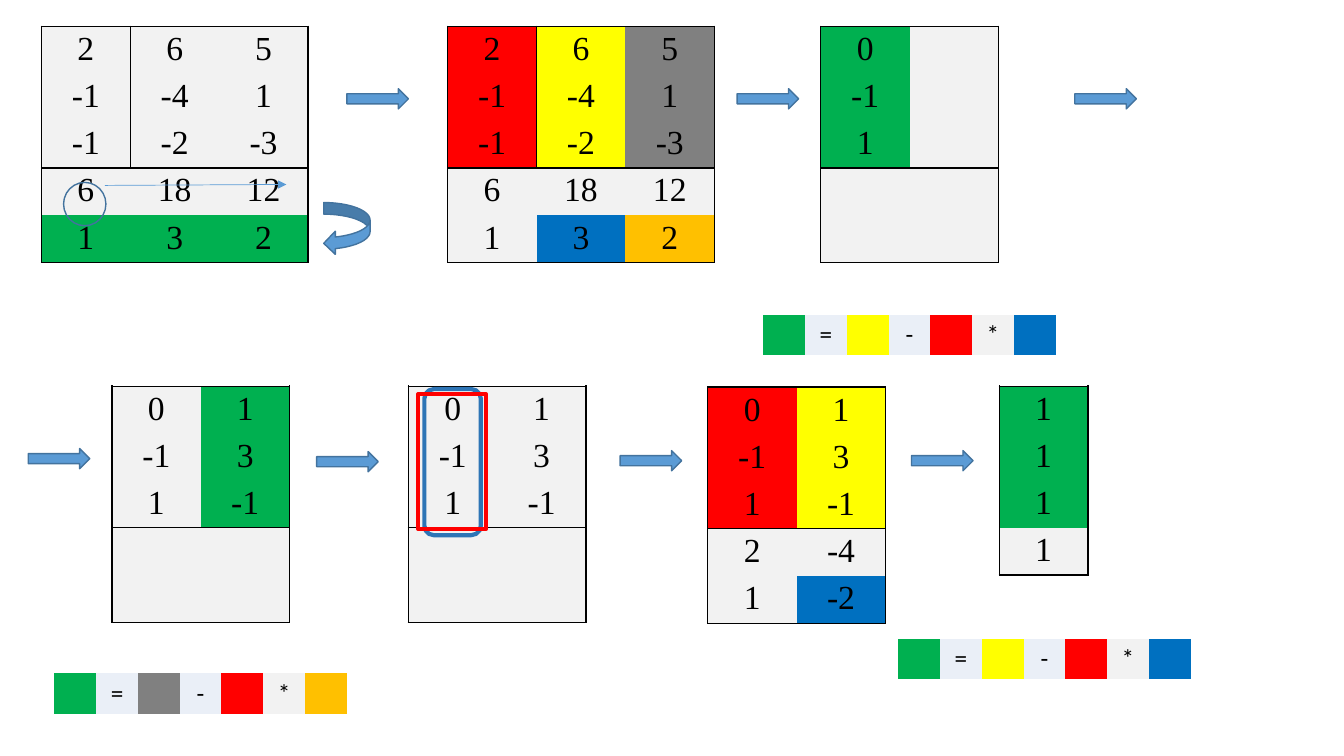
from lxml import etree
from pptx import Presentation
from pptx.dml.color import RGBColor
from pptx.enum.shapes import MSO_CONNECTOR, MSO_SHAPE
from pptx.enum.text import MSO_ANCHOR, PP_ALIGN
from pptx.oxml.ns import qn
from pptx.util import Inches, Pt

SLIDE_WIDTH, SLIDE_HEIGHT = Inches(13.33), Inches(7.5)
RIGHT_ARROW, CURVED_ARROW = MSO_SHAPE.RIGHT_ARROW, MSO_SHAPE.CURVED_DOWN_ARROW
OVAL, RECTANGLE = MSO_SHAPE.OVAL, MSO_SHAPE.RECTANGLE
ROUNDED_RECTANGLE = MSO_SHAPE.ROUNDED_RECTANGLE
STRAIGHT, CENTER, MIDDLE = MSO_CONNECTOR.STRAIGHT, PP_ALIGN.CENTER, MSO_ANCHOR.MIDDLE

BLACK = RGBColor(0x00, 0x00, 0x00)
RED = RGBColor(0xFF, 0x00, 0x00)
GREEN = RGBColor(0x00, 0xB0, 0x50)
YELLOW = RGBColor(0xFF, 0xFF, 0x00)
GRAY = RGBColor(0x80, 0x80, 0x80)
BLUE = RGBColor(0x00, 0x70, 0xC0)
ORANGE = RGBColor(0xFF, 0xC0, 0x00)
PALE = RGBColor(0xF2, 0xF2, 0xF2)
ICE = RGBColor(0xEA, 0xEF, 0xF7)
ARROW_FILL = RGBColor(0x5B, 0x9B, 0xD5)
ARROW_EDGE = RGBColor(0x43, 0x73, 0x9E)
FRAME_BLUE = RGBColor(0x2E, 0x75, 0xB6)

# Letters used in the colour patterns of the tables
PALETTE = {"R": RED, "G": GREEN, "Y": YELLOW, "A": GRAY, "B": BLUE,
           "O": ORANGE, ".": PALE, "i": ICE}
PLAIN_STYLE = "{2D5ABB26-0587-4C30-8999-92F81FD0307C}"

# Shares of the slide, in percent: (across, down)
MATRIX_CELL = (6.61, 6.25)
FORMULA_CELL = (3.11, 5.33)
ARROW_SIZE = (4.58, 2.67)
CONSTRAINT_ROWS = 3

TOP, BOTTOM = 3.47, 51.07
SOURCE_ROWS = ["2 6 5", "-1 -4 1", "-1 -2 -3", "6 18 12", "1 3 2"]
REDUCED_ROWS = ["0 1", "-1 3", "1 -1", "", ""]
# Left, top, rows of values, rows of colours
MATRICES = [
    (3.08, TOP, SOURCE_ROWS, ["...", "...", "...", "...", "GGG"]),
    (33.31, TOP, SOURCE_ROWS, ["RYA", "RYA", "RYA", "...", ".BO"]),
    (61.07, TOP, ["0", "-1", "1", "", ""], ["G.", "G.", "G.", "..", ".."]),
    (8.33, BOTTOM, REDUCED_ROWS, [".G", ".G", ".G", "..", ".."]),
    (30.38, BOTTOM, REDUCED_ROWS, [".."] * 5),
    (52.66, 51.2, REDUCED_ROWS[:3] + ["2 -4", "1 -2"],
     ["RY", "RY", "RY", "..", ".B"]),
    (74.34, BOTTOM, ["1"] * 4, ["G", "G", "G", "."]),
]
# Left, top, colours
FORMULAS = [(56.79, 41.6, "GiYiR.B"), (4.05, 89.07, "GiAiR.O"),
            (66.84, 84.53, "GiYiR.B")]
ARROWS = [(25.81, 11.73), (54.84, 11.73), (79.97, 11.73), (2.1, 59.33),
          (23.56, 59.73), (46.14, 59.6), (67.82, 59.6)]


def across(share):
    return round(SLIDE_WIDTH * share / 100)


def down(share):
    return round(SLIDE_HEIGHT * share / 100)


def add_plain_table(slide, left, top, colors, cell_size):
    rows, columns = len(colors), len(colors[0])
    frame = slide.shapes.add_table(
        rows, columns, across(left), down(top),
        across(cell_size[0] * columns), down(cell_size[1] * rows))
    table = frame.table
    table.first_row = table.horz_banding = False
    next(frame.element.iter(qn("a:tableStyleId"))).text = PLAIN_STYLE
    return table


def add_border(cell, sides):
    properties = cell._tc.get_or_add_tcPr()
    for side in sides:
        line = etree.SubElement(properties, qn("a:ln" + side), w=str(Pt(1)))
        fill = etree.SubElement(line, qn("a:solidFill"))
        etree.SubElement(fill, qn("a:srgbClr"), val=str(BLACK))


def fill_cell(cell, text, color, font_name, size):
    cell.fill.solid()
    cell.fill.fore_color.rgb = color
    cell.margin_top = cell.margin_bottom = Inches(0.04)
    if not text:
        return
    paragraph = cell.text_frame.paragraphs[0]
    paragraph.alignment = CENTER
    run = paragraph.add_run()
    run.text = text
    run.font.name, run.font.size = font_name, Pt(size)
    run.font.color.rgb = BLACK


def add_matrix(slide, left, top, values, colors):
    table = add_plain_table(slide, left, top, colors, MATRIX_CELL)
    last_row, last_column = len(colors) - 1, len(colors[0]) - 1
    has_totals = last_row > CONSTRAINT_ROWS
    for row, pattern in enumerate(colors):
        texts = values[row].split()
        for column, letter in enumerate(pattern):
            cell = table.cell(row, column)
            # Outer frame, line above the totals, line after the first column
            first_split = (last_column == 2 and column == 0
                           and row < CONSTRAINT_ROWS)
            totals_split = has_totals and row == CONSTRAINT_ROWS - 1
            edges = {"L": column == 0,
                     "R": column == last_column or first_split,
                     "T": row == 0,
                     "B": row == last_row or totals_split}
            add_border(cell, [side for side, drawn in edges.items() if drawn])
            text = texts[column] if column < len(texts) else ""
            fill_cell(cell, text, PALETTE[letter], "Times New Roman", 24)


def add_formula(slide, left, top, colors):
    table = add_plain_table(slide, left, top, [colors], FORMULA_CELL)
    operators = {1: "=", 3: "-", 5: "*"}
    for column, letter in enumerate(colors):
        cell = table.cell(0, column)
        cell.vertical_anchor = MIDDLE
        fill_cell(cell, operators.get(column), PALETTE[letter], "Calibri", 18)


def add_outline(slide, kind, position, size, line_color, weight=1, fill=None):
    shape = slide.shapes.add_shape(kind, across(position[0]), down(position[1]),
                                   across(size[0]), down(size[1]))
    shape.shadow.inherit = False
    if fill is None:
        shape.fill.background()
    else:
        shape.fill.solid()
        shape.fill.fore_color.rgb = fill
    shape.line.color.rgb = line_color
    shape.line.width = Pt(weight)
    return shape


def add_thin_arrow(slide, start, end):
    connector = slide.shapes.add_connector(
        STRAIGHT, across(start[0]), down(start[1]), across(end[0]), down(end[1]))
    connector.line.color.rgb = ARROW_FILL
    connector.line.width = Pt(0.5)
    line = connector.line._get_or_add_ln()
    etree.SubElement(line, qn("a:tailEnd"), type="triangle")
    etree.SubElement(connector.element.spPr, qn("a:effectLst"))


def main():
    presentation = Presentation()
    presentation.slide_width = SLIDE_WIDTH
    presentation.slide_height = SLIDE_HEIGHT
    slide = presentation.slides.add_slide(presentation.slide_layouts[6])

    # Tables
    for matrix in MATRICES:
        add_matrix(slide, *matrix)
    for formula in FORMULAS:
        add_formula(slide, *formula)

    # Steps between the tables
    for position in ARROWS:
        add_outline(slide, RIGHT_ARROW, position, ARROW_SIZE, ARROW_EDGE,
                    fill=ARROW_FILL)

    # Division of the totals row in the first table
    add_outline(slide, OVAL, (4.73, 24.13), (3.15, 5.73), ARROW_EDGE)
    add_thin_arrow(slide, (7.8, 24.53), (21.31, 24.4))
    turn = add_outline(slide, CURVED_ARROW, (23.86, 27.2), (3.9, 6.13),
                       ARROW_EDGE, fill=ARROW_FILL)
    turn.rotation = 90

    # Frames around the chosen column
    add_outline(slide, ROUNDED_RECTANGLE, (31.58, 51.47), (4.2, 19.33),
                FRAME_BLUE, 3)
    add_outline(slide, RECTANGLE, (31.13, 52.13), (5.03, 17.87), RED, 3)

    presentation.save("out.pptx")


main()
